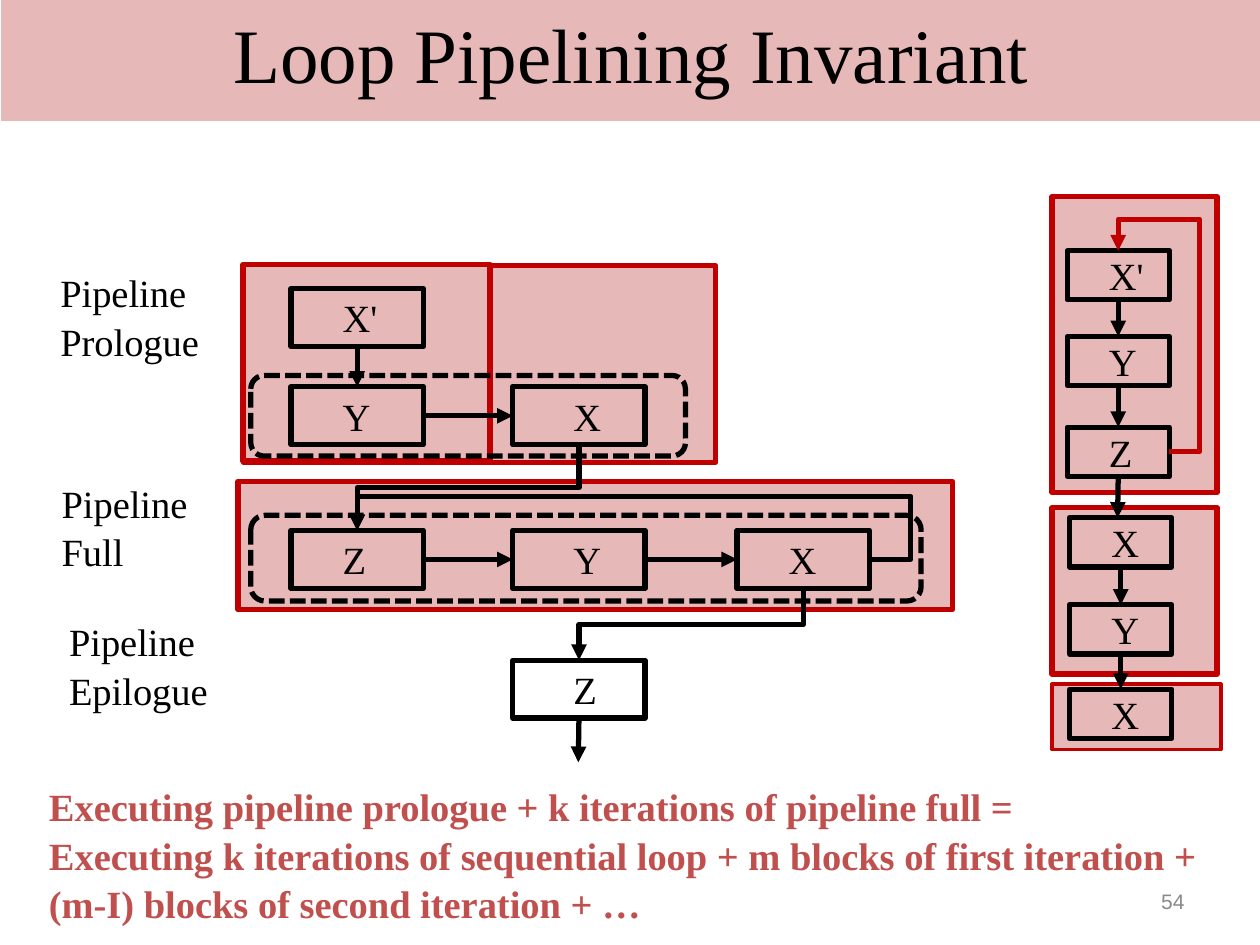
from lxml import etree
from pptx import Presentation
from pptx.dml.color import RGBColor
from pptx.enum import dml, shapes, text
from pptx.oxml import ns
from pptx.util import Inches, Pt

BLACK = RGBColor(0, 0, 0)
RED = RGBColor(0xC0, 0, 0)
PINK = RGBColor(0xE6, 0xB9, 0xB8)
BRICK = RGBColor(0xC0, 0x50, 0x4D)
GREY = RGBColor(0x89, 0x89, 0x89)
SERIF = "Times New Roman"
TOP, LEFT, BOTTOM, RIGHT = range(4)

TITLE = "Loop Pipelining Invariant"
PANELS = [  # left, top, width, height, line width
    (1.93, 2.11, 3.75, 1.56, 3),
    (1.89, 3.82, 5.67, 1.02, 3),
    (1.93, 2.1, 1.96, 1.56, 3),
    (8.35, 1.56, 1.31, 2.35, 3),
    (8.35, 5.43, 1.34, 0.52, 2),
    (8.35, 4.03, 1.31, 1.32, 3),
]
GROUPS = [(1.99, 4.09, 5.32, 0.68), (1.99, 2.98, 3.45, 0.64)]

BIG, SMALL = (1.05, 0.46), (0.81, 0.39)
BOXES = {  # key: label, left, top, size, left inset
    "pro X'": ("X'", 2.31, 2.29, BIG, 0.41),
    "pro Y": ("Y", 2.31, 3.07, BIG, 0.41),
    "pro X": ("X", 4.07, 3.07, BIG, 0.48),
    "full Z": ("Z", 2.31, 4.21, BIG, 0.41),
    "full Y": ("Y", 4.07, 4.21, BIG, 0.48),
    "full X": ("X", 5.85, 4.21, BIG, 0.41),
    "epi Z": ("Z", 4.07, 5.24, BIG, 0.48),
    "loop X'": ("X'", 8.47, 1.99, SMALL, 0.33),
    "loop Y": ("Y", 8.47, 2.67, SMALL, 0.33),
    "loop Z": ("Z", 8.47, 3.39, SMALL, 0.33),
    "next X": ("X", 8.49, 4.11, SMALL, 0.33),
    "next Y": ("Y", 8.49, 4.8, SMALL, 0.33),
    "last X": ("X", 8.49, 5.47, SMALL, 0.33),
}
DOWN = [("pro X'", "pro Y"), ("loop X'", "loop Y"), ("loop Y", "loop Z"),
        ("next X", "next Y"), ("next Y", "last X")]
ACROSS = [("pro Y", "pro X"), ("full Z", "full Y"), ("full Y", "full X")]
OPEN = [("epi Z", 4.59, 6.05), ("loop Z", 8.87, 4.11)]  # start, end point
STEPS = [("pro X", "full Z"), ("full X", "epi Z")]
LOOPS = [  # start, end, x of the right run, y of the top run, colour
    ("full X", "full Z", 7.23, 3.94, BLACK),
    ("loop Z", "loop X'", 9.52, 1.74, RED),
]
LABELS = [
    (["Pipeline", "Prologue"], 0.38, 2.07, 1.38),
    (["Pipeline", "Full"], 0.39, 3.74, 1.29),
    (["Pipeline", "Epilogue"], 0.45, 4.84, 1.36),
]
CLAIM = [
    "Executing pipeline prologue + k iterations of pipeline full =",
    "Executing k iterations of sequential loop + m blocks of first iteration + "
    "(m-I) blocks of second iteration + …",
]

deck = Presentation()
deck.slide_width, deck.slide_height = Inches(10), Inches(7.5)
slide = deck.slides.add_slide(deck.slide_layouts[5])
boxes = {}


def write(shape, lines, size=22, font=SERIF, color=BLACK, bold=False, inset=0.1,
          align=text.PP_ALIGN.LEFT, anchor=text.MSO_ANCHOR.MIDDLE, gap=None):
    frame = shape.text_frame
    frame.word_wrap = True
    frame.auto_size = text.MSO_AUTO_SIZE.NONE
    frame.vertical_anchor = anchor
    frame.margin_left = Inches(inset)
    frame.text = "\n".join(lines)
    for para in frame.paragraphs:
        para.alignment = align
        para.line_spacing = gap
        para.font.size, para.font.name = Pt(size), font
        para.font.bold, para.font.color.rgb = bold, color


def note(lines, x, y, w, h, **form):
    write(slide.shapes.add_textbox(*map(Inches, (x, y, w, h))), lines, **form)


def block(x, y, w, h, kind=shapes.MSO_SHAPE.RECTANGLE, fill=None, line=BLACK, width=3):
    shape = slide.shapes.add_shape(kind, *map(Inches, (x, y, w, h)))
    shape.shadow.inherit = False
    if fill is None:
        shape.fill.background()
    else:
        shape.fill.solid()
        shape.fill.fore_color.rgb = fill
    shape.line.color.rgb, shape.line.width = line, Pt(width)
    return shape


def side(key, spot):
    """Middle of one side of a box, in inches."""
    _, x, y, (w, h), _ = BOXES[key]
    return {TOP: (x + w / 2, y), LEFT: (x, y + h / 2),
            BOTTOM: (x + w / 2, y + h), RIGHT: (x + w, y + h / 2)}[spot]


def arrow(start, end, kind=shapes.MSO_CONNECTOR.STRAIGHT, color=BLACK):
    link = slide.shapes.add_connector(kind, *map(Inches, (*start, *end)))
    link.line.color.rgb, link.line.width = color, Pt(3)
    etree.SubElement(link.line._get_or_add_ln(), ns.qn("a:tailEnd"), type="triangle")
    etree.SubElement(link.element.spPr, ns.qn("a:effectLst"))
    return link


def join(a, b, out, into):
    link = arrow(side(a, out), side(b, into))
    link.begin_connect(boxes[a], out)
    link.end_connect(boxes[b], into)


def step(a, b):
    """Elbow that leaves downward: a sideways elbow turned by 90 degrees."""
    (ax, ay), (bx, by) = side(a, BOTTOM), side(b, TOP)
    cx, cy = (ax + bx) / 2, (ay + by) / 2
    w, h = by - ay, ax - bx
    link = arrow((cx - w / 2, cy - h / 2), (cx + w / 2, cy + h / 2),
                 shapes.MSO_CONNECTOR.ELBOW)
    link.element.spPr.find(ns.qn("a:xfrm")).set("rot", str(90 * 60000))


def loop(a, b, right, top, color):
    """Elbow that runs out to the right, up, and back to the top of b."""
    (ax, ay), (bx, by) = side(a, RIGHT), side(b, TOP)
    link = arrow((ax, ay), (bx, by), shapes.MSO_CONNECTOR.ELBOW, color)
    geom = link.element.spPr.find(ns.qn("a:prstGeom"))
    geom.set("prst", "bentConnector4")
    guides = geom.find(ns.qn("a:avLst"))
    if guides is None:
        guides = etree.SubElement(geom, ns.qn("a:avLst"))
    parts = (right - ax) / (bx - ax), (top - ay) / (by - ay)
    for i, part in enumerate(parts, 1):
        etree.SubElement(guides, ns.qn("a:gd"), name=f"adj{i}",
                         fmla=f"val {round(part * 100000)}")


title = slide.shapes.title
title.left, title.top, title.width, title.height = map(Inches, (0.01, 0, 10, 0.96))
title.fill.solid()
title.fill.fore_color.rgb = PINK
write(title, [TITLE], size=44, align=text.PP_ALIGN.CENTER, anchor=text.MSO_ANCHOR.TOP)

for *place, width in PANELS:
    block(*place, fill=PINK, line=RED, width=width)
for place in GROUPS:
    group = block(*place, kind=shapes.MSO_SHAPE.ROUNDED_RECTANGLE)
    group.line.dash_style = dml.MSO_LINE.SQUARE_DOT
for key, (label, x, y, size, inset) in BOXES.items():
    boxes[key] = block(x, y, *size)
    write(boxes[key], [label], inset=inset)

for a, b in DOWN:
    join(a, b, BOTTOM, TOP)
for a, b in ACROSS:
    join(a, b, RIGHT, LEFT)
for a, x, y in OPEN:
    arrow(side(a, BOTTOM), (x, y)).begin_connect(boxes[a], BOTTOM)
for a, b in STEPS:
    step(a, b)
for way in LOOPS:
    loop(*way)

for lines, x, y, w in LABELS:
    note(lines, x, y, w, 0.84, anchor=text.MSO_ANCHOR.TOP, gap=1.05)
note(CLAIM, 0.29, 6.15, 9.46, 1.2, color=BRICK, bold=True,
     anchor=text.MSO_ANCHOR.TOP, gap=1.05)
note(["54"], 7.17, 6.95, 2.33, 0.4, size=12, font="Arial", color=GREY,
     align=text.PP_ALIGN.RIGHT)

deck.save("out.pptx")
